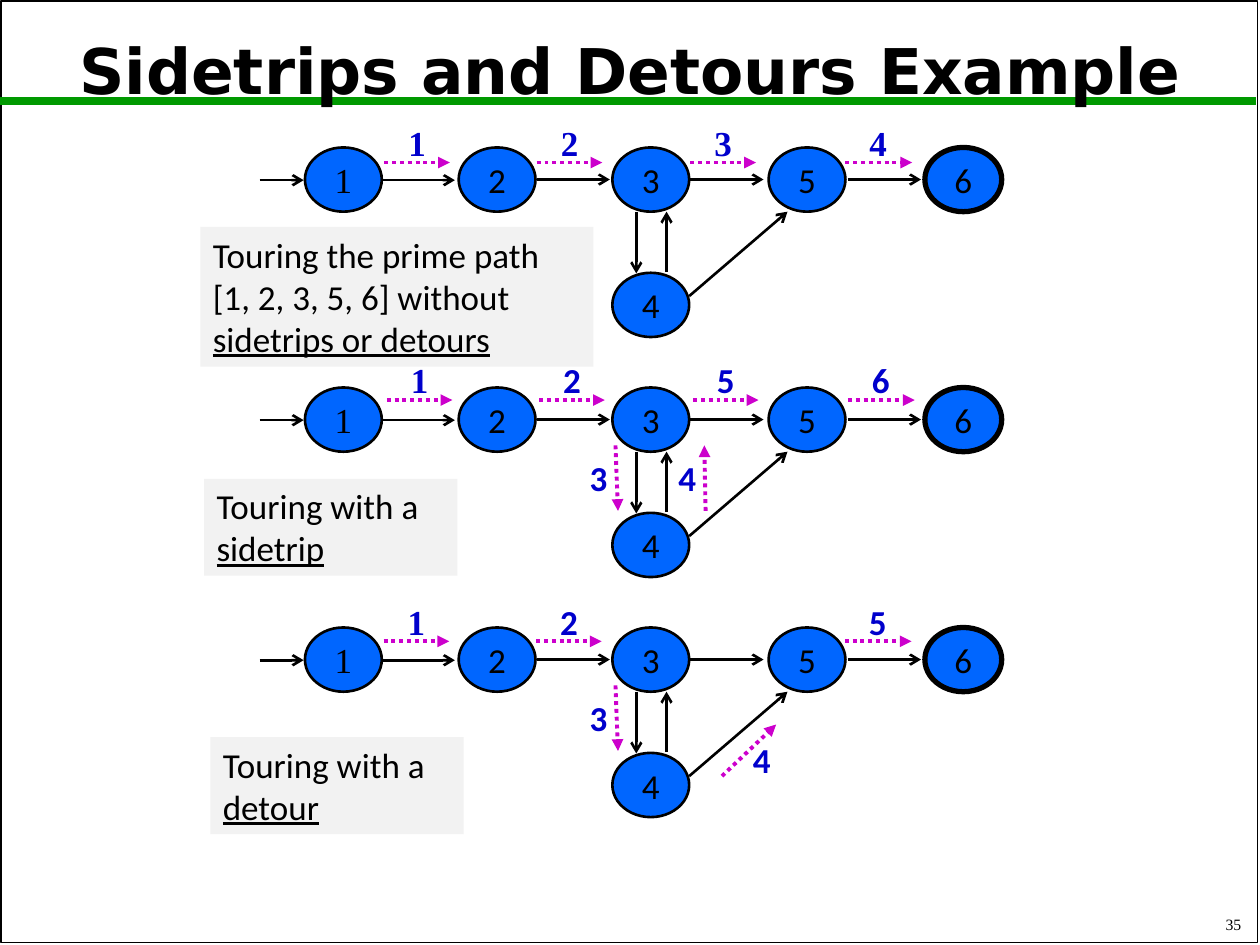
import lxml.etree
import pptx
import pptx.dml.color
import pptx.enum.dml
import pptx.enum.shapes
import pptx.enum.text
import pptx.oxml.ns
import pptx.util

COLS, ROWS = 100, 75
CELL = 0.1
SANS, SERIF = "Calibri", "Times New Roman"
BLACK, BLUE, NAVY, PINK = "000000", "0066FF", "0000CC", "CC00CC"
SHAPE = pptx.enum.shapes.MSO_SHAPE
ALIGN = pptx.enum.text.PP_ALIGN
ANCHOR = pptx.enum.text.MSO_ANCHOR

NODES = {"1": (3.6, 0), "2": (15.8, 0), "3": (28, 0),
         "4": (28, 9.95), "5": (40.4, 0), "6": (52.8, 0)}
EDGES = [(0, 2.6, 3.5, 2.6), (9.7, 2.6, 15.5, 2.6), (22, 2.55, 27.8, 2.55),
         (34.2, 2.55, 40, 2.55), (46.7, 2.55, 52.5, 2.55), (29.9, 5.1, 29.9, 10),
         (32.3, 9.9, 32.3, 5.1), (34.1, 11.8, 41.9, 5.1)]
WAYS = {"12": (9.9, 1.2, 15.1, 1.2), "23": (22, 1.2, 27.2, 1.2),
        "35": (34.2, 1.2, 39.4, 1.2), "56": (46.5, 1.2, 51.8, 1.2),
        "34": (28.25, 4.6, 28.45, 9.8), "43": (35.4, 9.8, 35.3, 4.6),
        "45": (36.7, 11.8, 41, 7.7)}
MARKS = {"34": (24.95, 5), "43": (32, 5), "45": (37.9, 8.35)}


def cells(*nums):
    """Turn grid cells into lengths."""
    return [pptx.util.Inches(num * CELL) for num in nums]


def color(code):
    """Make a colour from a hex string."""
    return pptx.dml.color.RGBColor.from_string(code)


def write(shape, runs, size=20, face=SANS, ink=BLACK, bold=False,
          align=ALIGN.LEFT, anchor=ANCHOR.TOP):
    """Write one paragraph of (text, underline) runs into a shape."""
    frame = shape.text_frame
    frame.word_wrap = True
    frame.vertical_anchor = anchor
    para = frame.paragraphs[0]
    para.alignment = align
    for text, under in runs:
        run = para.add_run()
        run.text = text
        if under:
            run.font.underline = True
    para.font.size = pptx.util.Pt(size)
    para.font.name = face
    para.font.bold = bold
    para.font.color.rgb = color(ink)
    return para


def block(slide, kind, box, fill=None, width=0):
    """Add a preset shape with an optional fill and black outline."""
    shape = slide.shapes.add_shape(kind, *cells(*box))
    shape.shadow.inherit = False
    if fill:
        shape.fill.solid()
        shape.fill.fore_color.rgb = color(fill)
    else:
        shape.fill.background()
    if width:
        shape.line.color.rgb = color(BLACK)
        shape.line.width = pptx.util.Pt(width)
    else:
        shape.line.fill.background()
    return shape


def line(slide, ends, ink=BLACK, width=1.5, head=None, dots=False):
    """Draw a straight line, with an arrowhead at its end if asked."""
    straight = pptx.enum.shapes.MSO_CONNECTOR.STRAIGHT
    link = slide.shapes.add_connector(straight, *cells(*ends))
    link.line.color.rgb = color(ink)
    link.line.width = pptx.util.Pt(width)
    if dots:
        link.line.dash_style = pptx.enum.dml.MSO_LINE.ROUND_DOT
    qn = pptx.oxml.ns.qn
    props = link.element.spPr
    if head:
        lxml.etree.SubElement(props.find(qn("a:ln")), qn("a:tailEnd"), type=head)
    lxml.etree.SubElement(props, qn("a:effectLst"))


def frame(slide, title, page):
    """Draw the border, the rule, the title and the page number."""
    block(slide, SHAPE.RECTANGLE, (0.1, 0.1, COLS - 0.3, ROWS - 0.3), width=1)
    line(slide, (0, 8, COLS - 0.3, 8), "009900", 4.5)
    foot = slide.shapes.add_textbox(*cells(78.7, 71.7, 20.8, 2.9))
    write(foot, [(page, False)], 9, SERIF, align=ALIGN.RIGHT, anchor=ANCHOR.BOTTOM)
    head = slide.shapes.add_textbox(*cells(0.5, 1.1, COLS - 1, 9.5))
    para = write(head, [(title, False)], 36, "DejaVu Sans", bold=True,
                 align=ALIGN.CENTER, anchor=ANCHOR.MIDDLE)
    para.line_spacing = 0.9


def graph(slide, left, top):
    """Draw the six nodes and their edges from a corner."""
    for name, (x, y) in NODES.items():
        node = block(slide, SHAPE.OVAL, (left + x, top + y, 6.1, 5.1), BLUE,
                     3 if name == "6" else 1.5)
        text = node.text_frame
        text.margin_left = text.margin_right = text.margin_top = text.margin_bottom = 0
        write(node, [(name, False)], face=SERIF if name == "1" else SANS,
              align=ALIGN.CENTER, anchor=ANCHOR.MIDDLE)
    for a, b, c, d in EDGES:
        line(slide, (left + a, top + b, left + c, top + d), head="arrow")


def tour(slide, left, top, route, serifs, shift):
    """Number the dotted steps of a route over a graph."""
    for num, way in enumerate(route, 1):
        a, b, c, d = WAYS[way]
        x, y = MARKS.get(way, (a + 0.65, b - 3.75))
        dx, dy = (0, 0) if way in MARKS else shift
        dx, dy = left + dx, top + dy
        line(slide, (a + dx, b + dy, c + dx, d + dy), PINK, 2.25, "triangle", True)
        mark = slide.shapes.add_textbox(*cells(x + dx, y + dy, 3.9, 4.3))
        write(mark, [(str(num), False)], face=SERIF if num <= serifs else SANS,
              ink=NAVY, bold=True, align=ALIGN.CENTER)


def note(slide, box, lead, key):
    """Add a grey caption whose key words are underlined."""
    write(block(slide, SHAPE.RECTANGLE, box, "F2F2F2"), [(lead, False), (key, True)])


def main():
    """Build the slide and save it."""
    deck = pptx.Presentation()
    deck.slide_width, deck.slide_height = cells(COLS, ROWS)
    slide = deck.slides.add_slide(deck.slide_layouts[6])
    frame(slide, "Sidetrips and Detours Example", "35")
    tours = [
        (("12", "23", "35", "56"), 4, (0, 0), (15.9, 18, 31.2, 11.1),
         "Touring the prime path [1, 2, 3, 5, 6] without ", "sidetrips or detours"),
        (("12", "23", "34", "43", "35", "56"), 1, (0.2, -0.2), (16.2, 38, 20.1, 7.7),
         "Touring with a ", "sidetrip"),
        (("12", "23", "34", "45", "56"), 1, (-0.05, -0.1), (16.7, 58.5, 20.1, 7.7),
         "Touring with a ", "detour"),
    ]
    for row, (route, serifs, shift, box, lead, key) in enumerate(tours):
        left, top = 20.6, 11.7 + 19.05 * row
        note(slide, box, lead, key)
        graph(slide, left, top)
        tour(slide, left, top, route, serifs, shift)
    deck.save("out.pptx")


if __name__ == "__main__":
    main()
